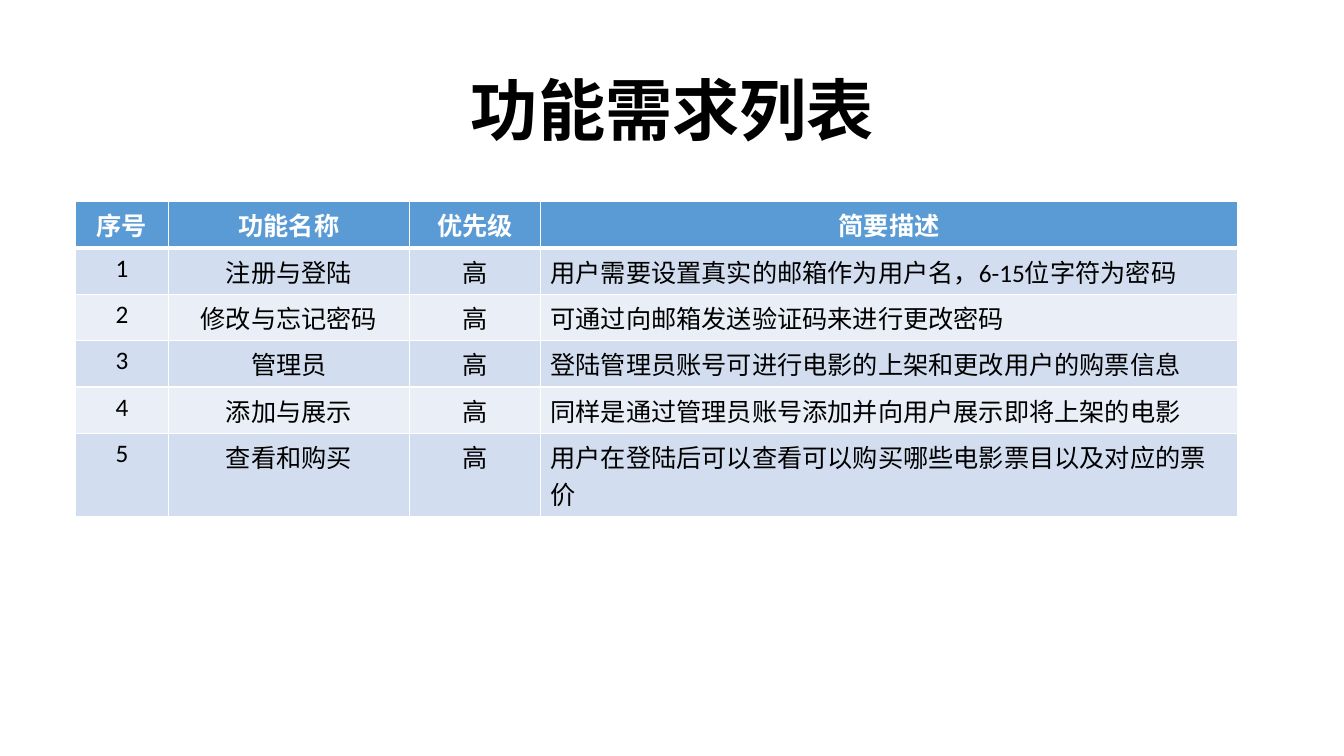
from lxml import etree
from pptx import Presentation
from pptx.dml.color import RGBColor
from pptx.enum.lang import MSO_LANGUAGE_ID
from pptx.enum.text import MSO_ANCHOR, PP_ALIGN
from pptx.oxml.ns import qn
from pptx.util import Inches, Pt

CENTER = PP_ALIGN.CENTER
LEFT = PP_ALIGN.LEFT
MIDDLE = MSO_ANCHOR.MIDDLE
CHINESE = MSO_LANGUAGE_ID.SIMPLIFIED_CHINESE

BLACK = RGBColor(0x00, 0x00, 0x00)
WHITE = RGBColor(0xFF, 0xFF, 0xFF)
HEADER_BLUE = RGBColor(0x5B, 0x9B, 0xD5)
BAND_DARK = RGBColor(0xD2, 0xDE, 0xEF)
BAND_LIGHT = RGBColor(0xEA, 0xEF, 0xF7)

FONT = "Calibri"
COLUMN_WIDTHS = (0.92, 2.39, 1.3, 6.92)
ROW_HEIGHT = 0.46
LAST_ROW_HEIGHT = 0.83
HEADINGS = ("序号", "功能名称", "优先级", "简要描述")
FEATURES = (
    ("注册与登陆", "高", "用户需要设置真实的邮箱作为用户名，6-15位字符为密码"),
    ("修改与忘记密码", "高", "可通过向邮箱发送验证码来进行更改密码"),
    ("管理员", "高", "登陆管理员账号可进行电影的上架和更改用户的购票信息"),
    ("添加与展示", "高", "同样是通过管理员账号添加并向用户展示即将上架的电影"),
    ("查看和购买", "高", "用户在登陆后可以查看可以购买哪些电影票目以及对应的票价"),
)


def write(frame, text, size, color, bold, align):
    frame.text = text
    para = frame.paragraphs[0]
    para.alignment = align
    for span in para.runs:
        span.font.name = FONT
        span.font.size = Pt(size)
        span.font.bold = bold
        span.font.color.rgb = color
        span.font.language_id = CHINESE
    return para


def add_borders(cell, header, first_body_row):
    widths = {"lnL": 1, "lnR": 1, "lnT": 3 if first_body_row else 1, "lnB": 3 if header else 1}
    properties = cell._tc.get_or_add_tcPr()
    for position, (side, width) in enumerate(widths.items()):
        line = etree.Element(qn(f"a:{side}"), w=str(Pt(width)))
        fill = etree.SubElement(line, qn("a:solidFill"))
        etree.SubElement(fill, qn("a:srgbClr"), val=str(WHITE))
        properties.insert(position, line)


def add_title(page, left, top, width, height):
    box = page.shapes.add_textbox(
        Inches(left), Inches(top), Inches(width), Inches(height)
    )
    frame = box.text_frame
    frame.word_wrap = True
    frame.vertical_anchor = MIDDLE
    para = write(frame, "功能需求列表", 48, BLACK, True, CENTER)
    para.line_spacing = 0.9


def add_feature_table(page, left, top, width, height):
    rows = [HEADINGS]
    rows += [(str(number), *feature) for number, feature in enumerate(FEATURES, 1)]
    table = page.shapes.add_table(
        len(rows), len(HEADINGS),
        Inches(left), Inches(top), Inches(width), Inches(height),
    ).table
    for column, share in zip(table.columns, COLUMN_WIDTHS):
        column.width = Inches(width * share / sum(COLUMN_WIDTHS))
    for row in table.rows:
        row.height = Inches(ROW_HEIGHT)
    table.rows[len(rows) - 1].height = Inches(LAST_ROW_HEIGHT)

    for row_index, texts in enumerate(rows):
        header = row_index == 0
        band = BAND_DARK if row_index % 2 else BAND_LIGHT
        for column_index, text in enumerate(texts):
            cell = table.cell(row_index, column_index)
            cell.fill.solid()
            cell.fill.fore_color.rgb = HEADER_BLUE if header else band
            add_borders(cell, header, row_index == 1)
            description = column_index == len(HEADINGS) - 1 and not header
            write(
                cell.text_frame, text, 18, WHITE if header else BLACK,
                header, LEFT if description else CENTER,
            )


def main():
    deck = Presentation()
    deck.slide_width = Inches(13.33)
    deck.slide_height = Inches(7.5)
    page = deck.slides.add_slide(deck.slide_layouts[6])
    add_title(page, 0.92, 0.4, 11.5, 1.45)
    add_feature_table(page, 0.75, 2, 11.53, 3.13)
    deck.save("out.pptx")


if __name__ == "__main__":
    main()
